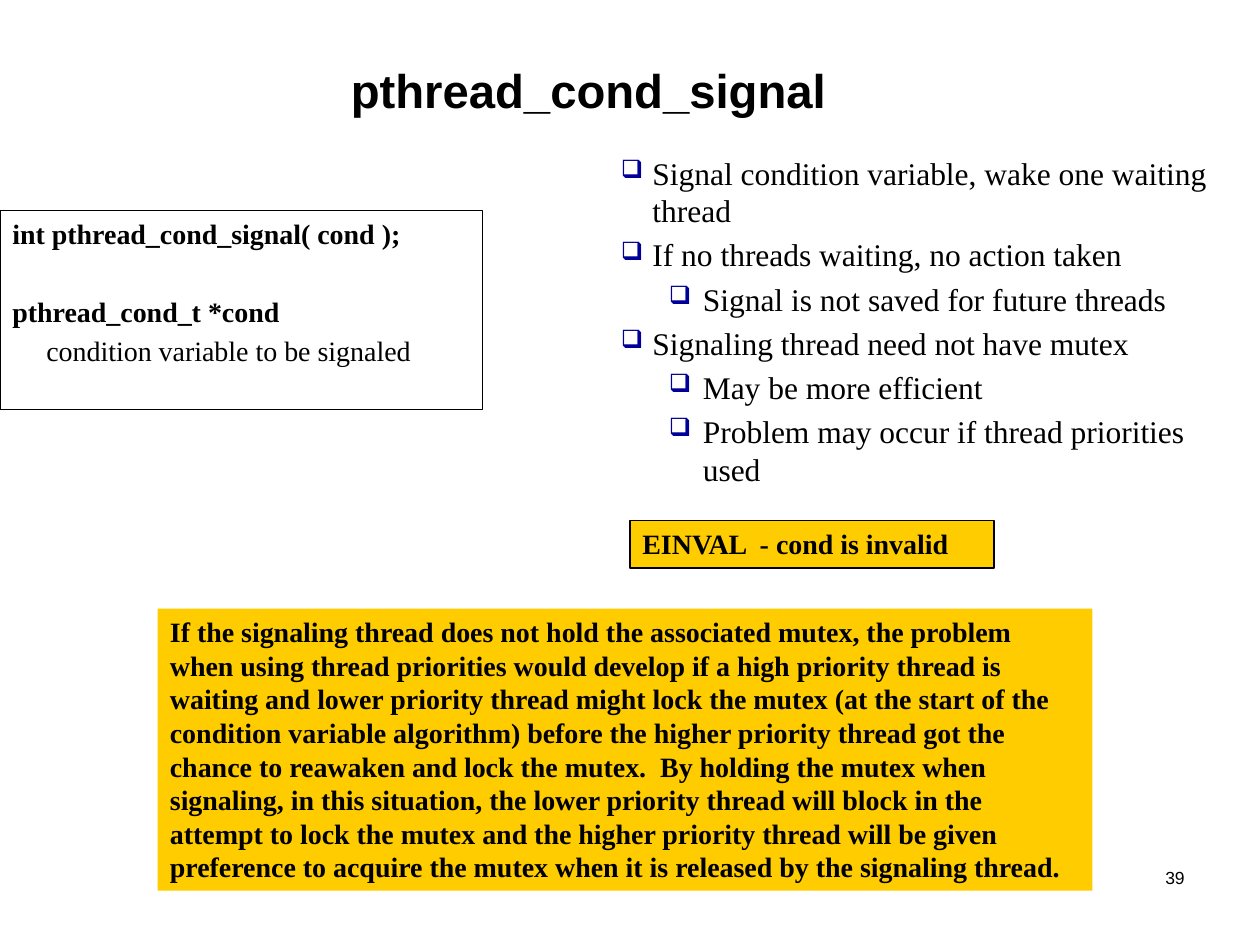
from lxml import etree
from pptx import Presentation
from pptx.dml.color import RGBColor
from pptx.enum.shapes import MSO_SHAPE
from pptx.enum.text import MSO_ANCHOR, PP_ALIGN
from pptx.oxml.ns import qn
from pptx.util import Pt

PX = 9144
RECTANGLE = MSO_SHAPE.RECTANGLE
TOP, MIDDLE = MSO_ANCHOR.TOP, MSO_ANCHOR.MIDDLE
LEFT, CENTER, RIGHT = PP_ALIGN.LEFT, PP_ALIGN.CENTER, PP_ALIGN.RIGHT
SANS, SERIF = "Arial", "Times New Roman"
BLACK, WHITE, GOLD, NAVY = "000000", "FFFFFF", "FFCC00", "000099"
BULLET_INDENTS = [(25, -25), (65, -27)]


def color(value):
    return RGBColor.from_string(value)


class SlideBuilder:
    """Holds the text style and the current slide, with a method per kind of element."""

    def __init__(self, slide):
        self.slide = slide

    def place(self, shape, bounds):
        shape.left, shape.top, shape.width, shape.height = (n * PX for n in bounds)

    def frame(self, shape, anchor=TOP):
        frame = shape.text_frame
        frame.word_wrap = True
        frame.vertical_anchor = anchor
        return frame

    def style(self, para, words, size, font=SERIF, bold=False, align=LEFT, before=0):
        para.text = words
        para.alignment = align
        para.space_before = Pt(before)
        for span in para.runs:
            span.font.name = font
            span.font.size = Pt(size)
            span.font.bold = bold
            span.font.color.rgb = color(BLACK)

    def indent(self, para, margin, first=0):
        properties = para._p.get_or_add_pPr()
        properties.set("marL", str(margin * PX))
        properties.set("indent", str(first * PX))
        return properties

    def title(self, words, bounds):
        title = self.slide.shapes.title
        self.place(title, bounds)
        frame = self.frame(title, MIDDLE)
        self.style(frame.paragraphs[0], words, 27, SANS, True, CENTER)

    def text(self, words, bounds, size, font, align):
        box = self.slide.shapes.add_textbox(*(n * PX for n in bounds))
        self.style(self.frame(box).paragraphs[0], words, size, font, align=align)

    def panel(self, lines, bounds, fill, line_width=0):
        box = self.slide.shapes.add_shape(RECTANGLE, *(n * PX for n in bounds))
        box.shadow.inherit = False
        box.fill.solid()
        box.fill.fore_color.rgb = color(fill)
        if line_width:
            box.line.color.rgb = color(BLACK)
            box.line.width = Pt(line_width)
        else:
            box.line.fill.background()
        frame = self.frame(box)
        for index, (words, bold, margin, before) in enumerate(lines):
            para = frame.add_paragraph() if index else frame.paragraphs[0]
            self.indent(para, margin)
            self.style(para, words, 16, bold=bold, before=before)

    def bullets(self, items, bounds, size):
        box = self.slide.shapes.add_textbox(*(n * PX for n in bounds))
        frame = self.frame(box)
        for index, (level, words) in enumerate(items):
            para = frame.add_paragraph() if index else frame.paragraphs[0]
            para.level = level
            properties = self.indent(para, *BULLET_INDENTS[level])
            tint = etree.SubElement(properties, qn("a:buClr"))
            etree.SubElement(tint, qn("a:srgbClr"), val=NAVY)
            etree.SubElement(properties, qn("a:buSzPct"), val="80000")
            etree.SubElement(properties, qn("a:buChar"), char="❑")
            self.style(para, words, size, before=0.2 * size if index else 0)


def main():
    deck = Presentation()
    deck.slide_width, deck.slide_height = 1000 * PX, 750 * PX
    page = SlideBuilder(deck.slides.add_slide(deck.slide_layouts[5]))

    page.text("39", (742, 683, 208, 50), 10, SANS, RIGHT)
    page.title("pthread_cond_signal", (217, 40, 500, 62))
    page.panel([
        ("int pthread_cond_signal( cond );", True, 0, 0),
        ("pthread_cond_t *cond", True, 0, 25.4),
        ("condition variable to be signaled", False, 27, 3.2),
    ], (0, 167, 383, 158), WHITE, 0.75)
    page.bullets([
        (0, "Signal condition variable, wake one waiting thread"),
        (0, "If no threads waiting, no action taken"),
        (1, "Signal is not saved for future threads"),
        (0, "Signaling thread need not have mutex"),
        (1, "May be more efficient"),
        (1, "Problem may occur if thread priorities used"),
    ], (483, 117, 500, 283), 18)
    page.panel([("EINVAL  - cond is invalid", True, 0, 0)],
               (500, 413, 289, 38), GOLD, 1)
    explanation = (
        "If the signaling thread does not hold the associated mutex, the problem "
        "when using thread priorities would develop if a high priority thread is "
        "waiting and lower priority thread might lock the mutex (at the start of the "
        "condition variable algorithm) before the higher priority thread got the "
        "chance to reawaken and lock the mutex.  By holding the mutex when "
        "signaling, in this situation, the lower priority thread will block in the "
        "attempt to lock the mutex and the higher priority thread will be given "
        "preference to acquire the mutex when it is released by the signaling thread."
    )
    page.panel([(explanation, True, 0, 0)], (125, 483, 742, 224), GOLD)
    deck.save("out.pptx")


if __name__ == "__main__":
    main()
